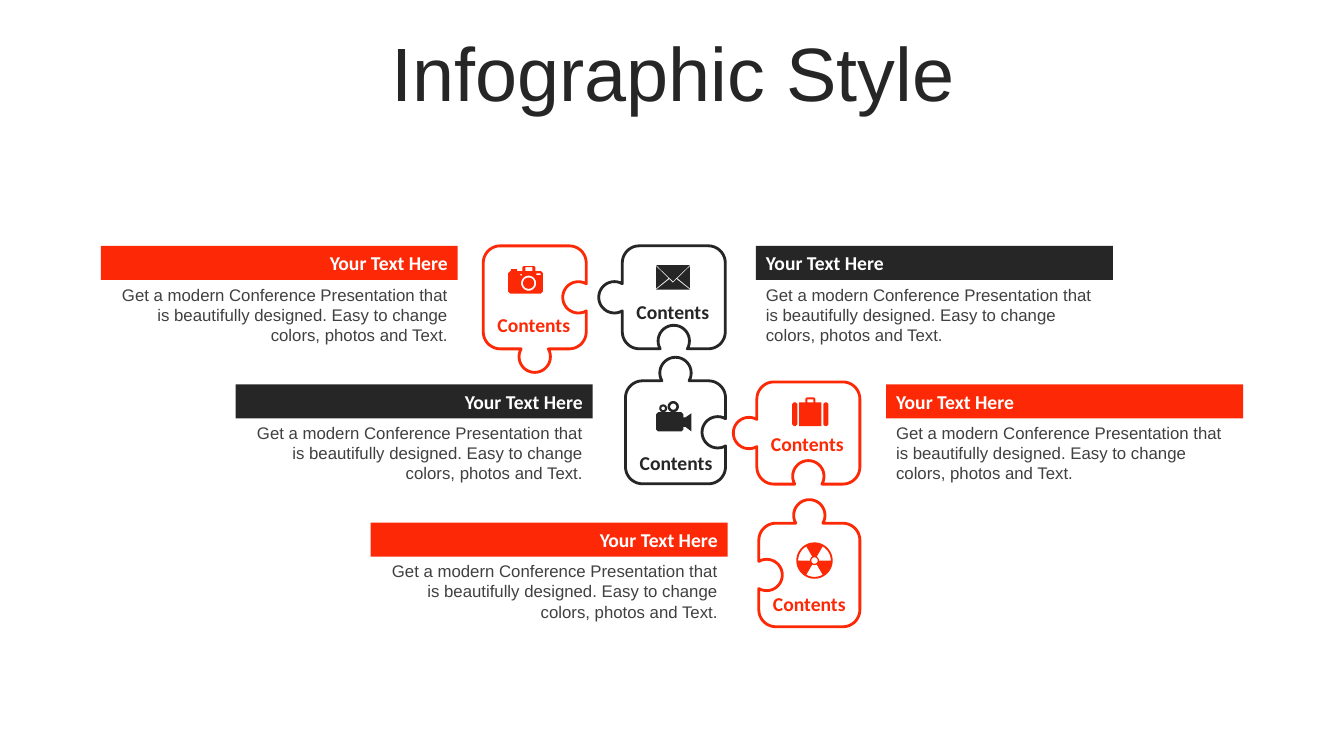
from math import cos, sin, radians
from pptx import Presentation
from pptx import util as u
from pptx.dml.color import RGBColor
from pptx.enum import shapes, text

Pt = u.Pt
RED = RGBColor(0xFD, 0x29, 0x06)
DARK = RGBColor(0x26, 0x26, 0x26)
GRAY = RGBColor(0x40, 0x40, 0x40)
WHITE = RGBColor(0xFF, 0xFF, 0xFF)

LEFT, MID, RIGHT = (text.PP_ALIGN.LEFT, text.PP_ALIGN.CENTER,
                    text.PP_ALIGN.RIGHT)
HEAD = dict(name="Calibri", size=Pt(14), bold=True)
BODY = dict(name="Arial", size=Pt(12))
TITLE = dict(name="Arial", size=Pt(54))
BLURB = ("Get a modern Conference Presentation that is beautifully designed. "
         "Easy to change colors, photos and Text.")
KNOB, ROUND = 11.2, 12.2  # radii of the puzzle knobs and corners


# Text
def write(shape, words, font, color, align):
    frame = shape.text_frame
    frame.word_wrap = True
    para = frame.paragraphs[0]
    para.alignment = align
    run = para.add_run()
    run.text = words
    for key, val in font.items():
        setattr(run.font, key, val)
    run.font.color.rgb = color
    return frame


def label(slide, box, words, font, color, align):
    shape = slide.shapes.add_textbox(*map(Pt, box))
    return write(shape, words, font, color, align)


# Outlines
def arc(x, y, r, start=0, end=360, step=10):
    return [(x + r * cos(radians(t)), y + r * sin(radians(t)))
            for t in range(start, end + 1, step)]


def rect(x, y, w, h):
    return [(x, y), (x + w, y), (x + w, y + h), (x, y + h)]


def bevel(x, y, w, h, c):
    return [(x + c, y), (x + w - c, y), (x + w, y + c), (x + w, y + h - c),
            (x + w - c, y + h), (x + c, y + h), (x, y + h - c), (x, y + c)]


def trace(slide, x, y, loops, fill, line=None):
    pen = None
    for loop in loops:
        pts = [(Pt(x + px), Pt(y + py)) for px, py in loop]
        if pen is None:
            pen = slide.shapes.build_freeform(*pts[0])
        else:
            pen.move_to(*pts[0])
        pen.add_line_segments(pts[1:], close=True)
    shape = pen.convert_to_shape()
    shape.shadow.inherit = False
    shape.fill.solid()
    shape.fill.fore_color.rgb = fill
    if line is None:
        shape.line.fill.background()
    else:
        shape.line.color.rgb = line
        shape.line.width = Pt(2)


def jigsaw(w, h, knobs):
    """Clockwise outline; knobs maps a side to 1 (tab) or -1 (socket)."""
    sides = dict(top=(1, 0), right=(0, 1), bottom=(-1, 0), left=(0, -1))
    pts = []
    for side, (dx, dy) in sides.items():
        nx, ny = dy, -dx
        mx, my = w / 2 * (1 + nx), h / 2 * (1 + ny)
        if side in knobs:
            for t in range(210, -31, -10):
                along = KNOB * cos(radians(t))
                out = knobs[side] * KNOB * (0.5 + sin(radians(t)))
                pts.append((mx + dx * along + nx * out,
                            my + dy * along + ny * out))
        cx = mx + dx * (w / 2 - ROUND) - nx * ROUND
        cy = my + dy * (h / 2 - ROUND) - ny * ROUND
        for t in range(0, 91, 10):
            a, b = ROUND * cos(radians(t)), ROUND * sin(radians(t))
            pts.append((cx + nx * a + dx * b, cy + ny * a + dy * b))
    return pts


# Icons, each a list of loops; inner loops cut holes
def camera():
    case = [(0, 5), (1.4, 3.6), (2, 3.6), (2, 2.2), (6.4, 2.2), (6.4, 3.6),
            (10.2, 3.6), (10.2, 0.7), (11, 0), (18.7, 0), (19.4, 0.7),
            (19.4, 3.6), (23.4, 3.6), (24.8, 5), (24.8, 18.2), (23.4, 19.6),
            (1.4, 19.6), (0, 18.2)]
    return [case, rect(12.2, 0.8, 5, 2.8), rect(8.6, 5.8, 1.4, 0.8),
            rect(20.2, 5.2, 2.9, 1.3), arc(14.6, 12.2, 5.4),
            arc(14.6, 12.2, 4)]


def mail():
    return [[(0, 0), (24, 0), (12, 11.6)],
            [(0, 0.8), (8.8, 9.4), (0, 16.6)],
            [(24, 0.8), (15.2, 9.4), (24, 16.6)],
            [(0, 17.4), (9.4, 10), (12, 12.6), (14.6, 10), (24, 17.4)]]


def film():
    horn = [(19.4, 11.5), (21, 11.5), (25.2, 8.6), (25.2, 21.6),
            (21, 18.4), (19.4, 18.4)]
    return [bevel(0, 7.9, 19.4, 13.7, 1.4), horn, arc(12.2, 3.9, 4),
            arc(12.2, 3.9, 2.2), arc(5, 5.1, 2.8), arc(5, 5.1, 1.3)]


def case():
    grip = [(5, 3.6), (9.4, 3.6), (9.4, 1), (10.4, 0), (15.6, 0), (16.6, 1),
            (16.6, 3.6), (20.9, 3.6), (20.9, 20.5), (5, 20.5)]
    ends = [bevel(x, 3.6, 3.7, 16.9, 1.2) for x in (0, 22.2)]
    return [grip, rect(10.8, 1.4, 4.4, 2.2)] + ends


def atom():
    blades = [arc(13, 13, 11.7, t, t + 60) + arc(13, 13, 3.2, t, t + 60)[::-1]
              for t in (60, 180, 300)]
    return [arc(13, 13, 13), arc(13, 13, 2.3)] + blades


# Regions
def title(slide, box):
    frame = label(slide, box, "Infographic Style", TITLE, DARK, MID)
    frame.vertical_anchor = text.MSO_ANCHOR.MIDDLE
    frame.paragraphs[0].line_spacing = 0.9


def piece(slide, box, knobs, color, icon, spot, drop):
    x, y, w, h = box
    trace(slide, x, y, [jigsaw(w, h, knobs)], WHITE, color)
    label(slide, (x - 1.4, y + drop, 75, 24.4), "Contents", HEAD, color, MID)
    trace(slide, x + spot[0], y + spot[1], icon(), color)


def card(slide, x, y, color, align):
    bar = slide.shapes.add_shape(shapes.MSO_SHAPE.RECTANGLE,
                                 *map(Pt, (x, y, 255, 24.3)))
    bar.shadow.inherit = False
    bar.fill.solid()
    bar.fill.fore_color.rgb = color
    bar.line.fill.background()
    write(bar, "Your Text Here", HEAD, WHITE, align)
    label(slide, (x, y + 23.8, 255, 51), BLURB, BODY, GRAY, align)


def main():
    deck = Presentation()
    deck.slide_width, deck.slide_height = Pt(960), Pt(540)
    slide = deck.slides.add_slide(deck.slide_layouts[6])
    title(slide, (25.2, 26.6, 911.5, 56.9))

    # Puzzle pieces: box, knobs, colour, icon, icon offset, label offset
    for part in (
        ((345.2, 175.6, 73.6, 73.6), dict(right=-1, bottom=1), RED,
         camera, (17.8, 14.5), 44),
        ((444.5, 175.6, 73.6, 73.6), dict(bottom=-1, left=1), DARK,
         mail, (24.2, 13.8), 35.4),
        ((446.8, 272, 71.5, 73.6), dict(top=1, right=-1), DARK,
         film, (21.9, 14.6), 46.2),
        ((540.6, 272.8, 73.6, 73), dict(bottom=-1, left=1), RED,
         case, (25.3, 11), 31.8),
        ((542, 373.7, 72.2, 74), dict(top=1, left=-1), RED,
         atom, (26.8, 13.7), 45.3),
    ):
        piece(slide, *part)

    # Text cards in three rows
    top, row, shift = 175.7, 98.8, 96.4
    for i, color in enumerate((RED, DARK, RED)):
        card(slide, 72 + i * shift, top + i * row, color, RIGHT)
    for i, (x, color) in enumerate(((540, DARK), (633, RED))):
        card(slide, x, top + i * row, color, LEFT)

    deck.save("out.pptx")


if __name__ == "__main__":
    main()
